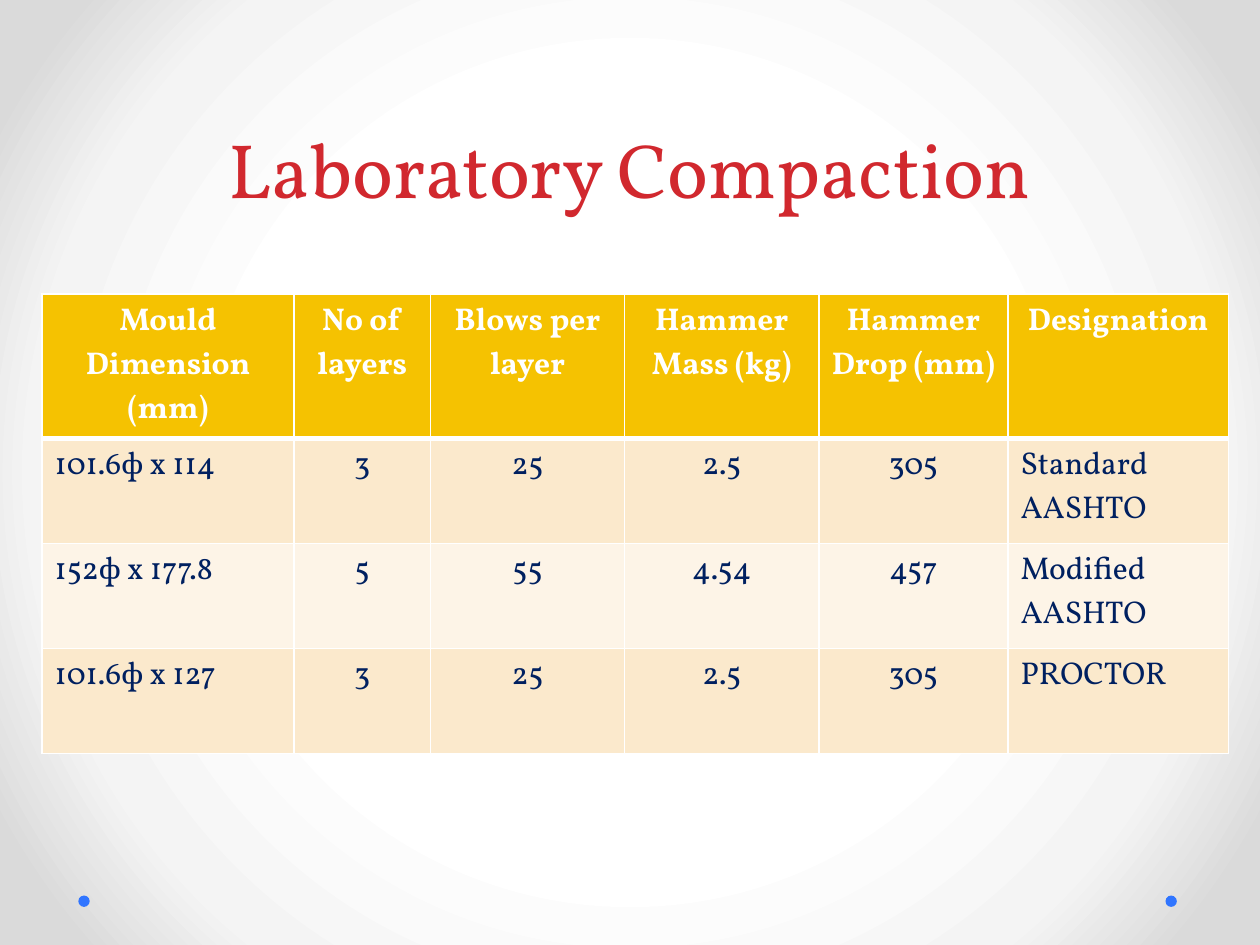
from pptx import Presentation
from pptx.dml.color import RGBColor as RGB
from pptx.enum.shapes import MSO_SHAPE as Shape
from pptx.enum.text import MSO_ANCHOR as Anchor, PP_ALIGN as Align
from pptx.oxml import parse_xml
from pptx.oxml.ns import nsdecls, qn
from pptx.util import Pt

# Content
TITLE = "Laboratory Compaction"
HEAD = ["Mould Dimension (mm)", "No of layers", "Blows per layer",
        "Hammer Mass (kg)", "Hammer Drop (mm)", "Designation"]
ROWS = [
    ["101.6ф x 114", "3", "25", "2.5", "305", "Standard AASHTO"],
    ["152ф x 177.8", "5", "55", "4.54", "457", "Modified AASHTO"],
    ["101.6ф x 127", "3", "25", "2.5", "305", "PROCTOR"],
]

# Look
THEME = {
    "font": "Vollkorn", "title size": 44, "cell size": 18,
    "title": "D1282E", "head": "F5C201", "bands": ["FBE9CC", "FDF4E7"],
    "ink": "002060", "white": "FFFFFF", "dot": "3075FF",
    "back": [(0, "FFFFFF"), (50, "FFFFFF"), (76, "F4F4F4"), (92, "DADADA"),
             (100, "DADADA")],
}
WIDTHS = [144, 78, 111, 111, 108, 126]
ROW_H = 60
DOT = 6.5


def style(par, size, color, align, bold=False):
    par.alignment = align
    font = par.font
    font.name, font.size, font.bold = THEME["font"], Pt(size), bold
    font.color.rgb = RGB.from_string(color)


def paint(shape, color):
    shape.fill.solid()
    shape.fill.fore_color.rgb = RGB.from_string(color)


def edge(cell, top, low):
    """Draw white borders, which come before the fill in the cell's XML."""
    props = cell._tc.get_or_add_tcPr()
    sides = [("L", 1), ("R", 1), ("T", top), ("B", low)]
    for i, (side, wide) in enumerate(sides):
        props.insert(i, parse_xml(
            f'<a:ln{side} {nsdecls("a")} w="{Pt(wide)}"><a:solidFill>'
            f'<a:srgbClr val="{THEME["white"]}"/></a:solidFill></a:ln{side}>'))


deck = Presentation()
deck.slide_width, deck.slide_height = Pt(720), Pt(540)
slide = deck.slides.add_slide(deck.slide_layouts[5])

# Radial background
stops = "".join(f'<a:gs pos="{pos * 1000}"><a:srgbClr val="{color}"/></a:gs>'
                for pos, color in THEME["back"])
slide.element.find(qn("p:cSld")).insert(0, parse_xml(
    f'<p:bg {nsdecls("p", "a")}><p:bgPr><a:gradFill rotWithShape="1">'
    f'<a:gsLst>{stops}</a:gsLst><a:path path="circle">'
    '<a:fillToRect l="50000" t="50000" r="50000" b="50000"/></a:path>'
    '</a:gradFill><a:effectLst/></p:bgPr></p:bg>'))

# Corner dots
for left in (44.75, 666):
    dot = slide.shapes.add_shape(Shape.OVAL, Pt(left), Pt(511.75),
                                 Pt(DOT), Pt(DOT))
    dot.shadow.inherit = False
    paint(dot, THEME["dot"])
    dot.line.fill.background()

# Title
title = slide.shapes.title
title.left, title.top, title.width, title.height = Pt(36), Pt(0), Pt(648), Pt(126)
frame = title.text_frame
frame.text = TITLE
frame.word_wrap = True
frame.vertical_anchor = Anchor.BOTTOM
style(frame.paragraphs[0], THEME["title size"], THEME["title"], Align.CENTER)
frame.paragraphs[0].line_spacing = Pt(58)

# Table
grid = [HEAD] + ROWS
table = slide.shapes.add_table(len(grid), len(HEAD), Pt(24), Pt(168),
                               Pt(sum(WIDTHS)), Pt(ROW_H * len(grid))).table
for col, wide in zip(table.columns, WIDTHS):
    col.width = Pt(wide)
for r, row in enumerate(grid):
    table.rows[r].height = Pt(ROW_H)
    head = r == 0
    fill = THEME["head"] if head else THEME["bands"][(r - 1) % 2]
    ink = THEME["white"] if head else THEME["ink"]
    for c, text in enumerate(row):
        cell = table.cell(r, c)
        cell.text = text
        outer = c in (0, len(HEAD) - 1)
        align = Align.LEFT if outer and not head else Align.CENTER
        style(cell.text_frame.paragraphs[0], THEME["cell size"], ink, align, head)
        paint(cell, fill)
        edge(cell, 3 if r == 1 else 1, 3 if head else 1)

deck.save("out.pptx")
